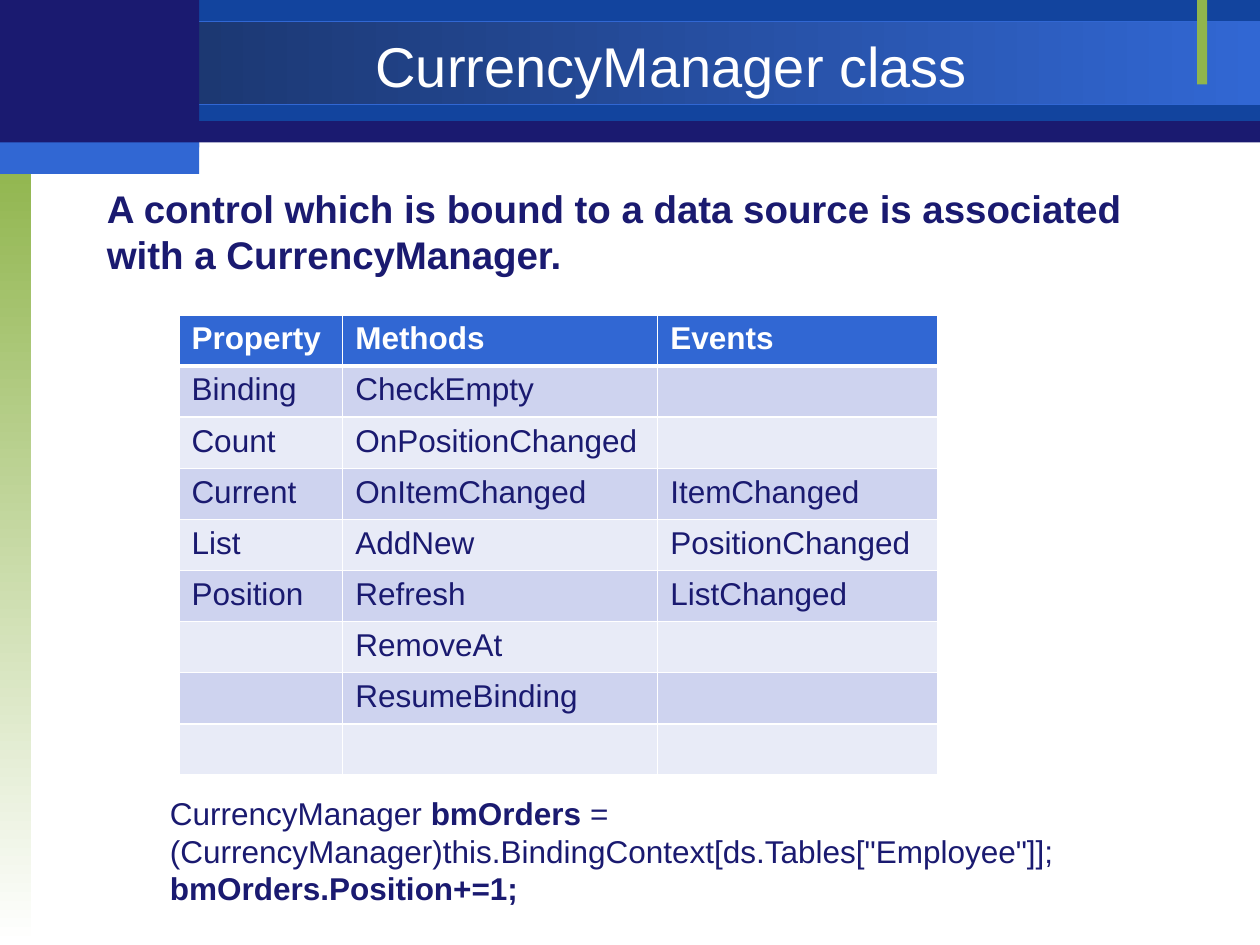
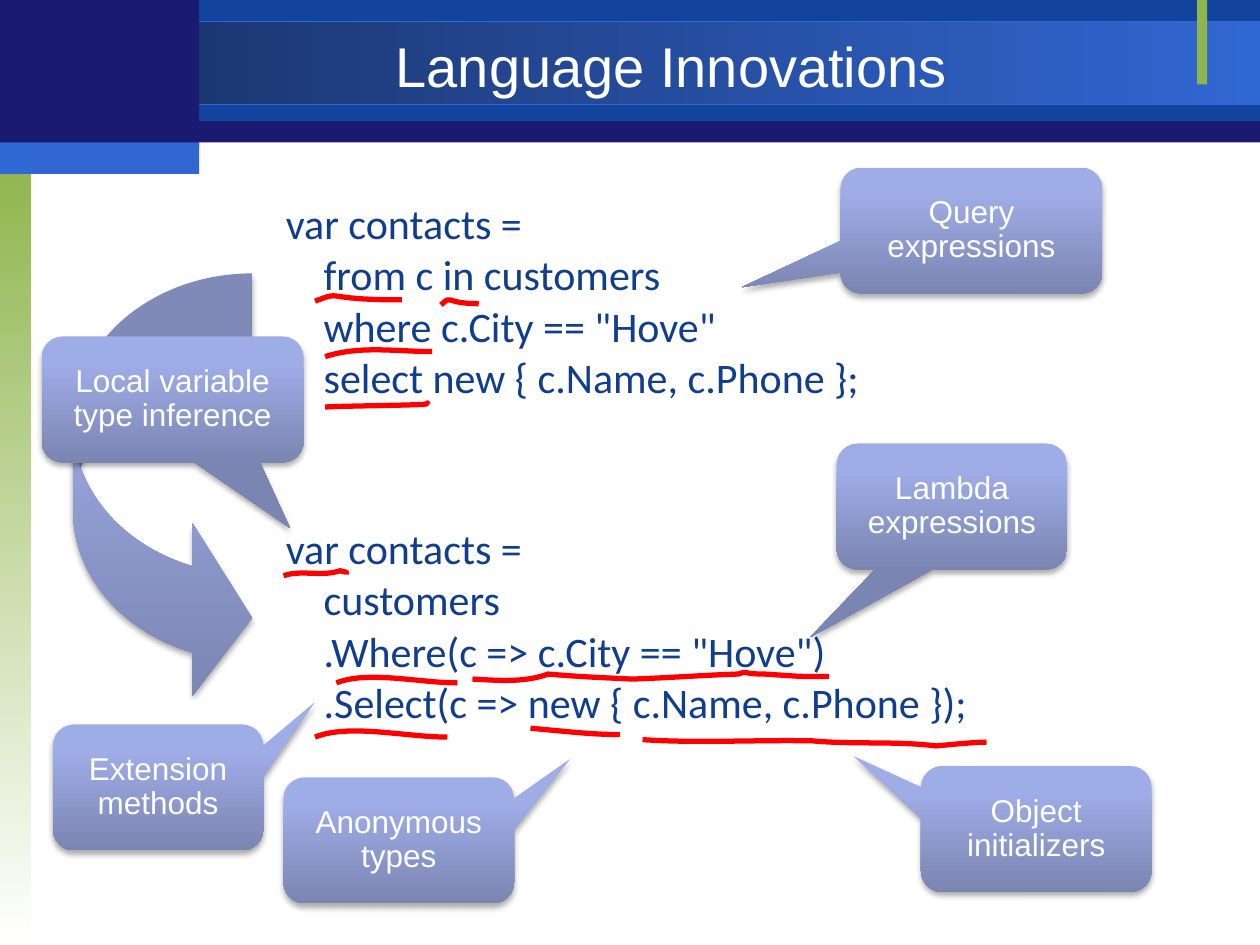
"""Build two slides on CurrencyManager and on language innovations."""
from lxml.etree import SubElement
from pptx import Presentation
from pptx.dml.color import RGBColor
from pptx.enum.shapes import MSO_SHAPE
from pptx.enum.text import MSO_ANCHOR, MSO_AUTO_SIZE, PP_ALIGN
from pptx.oxml import parse_xml
from pptx.oxml.ns import nsdecls, qn
from pptx.util import Inches, Pt

NAVY, BLUE, DEEP_BLUE, CODE_BLUE = "1A1A70", "3167D3", "12449E", "103D8E"
GREEN, WHITE, RED = "90B54D", "FFFFFF", "FF0000"
DOWNWARD = 270
SHADOW = (
    f'<a:effectLst {nsdecls("a")}><a:outerShdw blurRad="44450" dist="27940" dir="5400000" '
    'algn="ctr" rotWithShape="0"><a:srgbClr val="000000"><a:alpha val="32000"/></a:srgbClr>'
    "</a:outerShdw></a:effectLst>"
)
HEADER_RULE = (
    f'<a:lnB {nsdecls("a")} w="38100"><a:solidFill><a:srgbClr val="{WHITE}"/></a:solidFill></a:lnB>'
)
rgb = RGBColor.from_string


def add_panel(slide, kind, box, colours, angle=0, first_stop=0):
    """Add a borderless shape filled with one colour or a gradient of two."""
    panel = slide.shapes.add_shape(kind, *map(Inches, box))
    panel.shadow.inherit = False
    panel.line.fill.background()
    if len(colours) == 1:
        panel.fill.solid()
        panel.fill.fore_color.rgb = rgb(colours[0])
    else:
        panel.fill.gradient()
        panel.fill.gradient_angle = angle
        for stop, colour, position in zip(panel.fill.gradient_stops, colours, (first_stop, 1)):
            stop.color.rgb = rgb(colour)
            stop.position = position
    return panel


def write(paragraph, text, size, colour, font="Arial", bold=False):
    """Put text in a paragraph and set its font."""
    paragraph.text = text
    paragraph.font.name = font
    paragraph.font.size = Pt(size)
    paragraph.font.bold = bold
    paragraph.font.color.rgb = rgb(colour)
    return paragraph


prs = Presentation()
prs.slide_width, prs.slide_height = Inches(10), Inches(7.5)
layout = prs.slide_layouts[5]
manager, language = [prs.slides.add_slide(layout) for _ in range(2)]

bands = [
    ((0, 0.01, 10, 1.12), [NAVY], 0),
    ((1.58, 0, 8.42, 0.96), [DEEP_BLUE], 0),
    ((0, 0.17, 10, 0.66), ["182F60", BLUE], 0),
    ((0, 1.25, 0.25, 6.25), [GREEN, WHITE], DOWNWARD),
    ((9.5, 0, 0.08, 0.67), [GREEN], 0),
    ((0, 0, 1.58, 1.17), [NAVY], 0),
    ((0, 1.13, 1.58, 0.25), [BLUE], 0),
]
for box, colours, angle in bands:
    band = add_panel(manager, MSO_SHAPE.RECTANGLE, box, colours, angle)
    if angle == 0 and len(colours) == 2:
        band.line.color.rgb = rgb(BLUE)
        band.line.width = Pt(0.75)
    layout.placeholders[0].element.addprevious(band.element)

for slide, heading in ((manager, "CurrencyManager class"), (language, "Language Innovations")):
    title = slide.shapes.title
    title.left, title.top, title.width, title.height = map(Inches, (1.58, 0.23, 7.5, 0.58))
    title.text_frame.auto_size = MSO_AUTO_SIZE.NONE
    title.text_frame.vertical_anchor = MSO_ANCHOR.MIDDLE
    write(title.text_frame.paragraphs[0], heading, 32, WHITE).alignment = PP_ALIGN.CENTER

intro = manager.shapes.add_textbox(*map(Inches, (0.75, 1.42, 8.5, 0.84))).text_frame
intro.word_wrap = True
write(
    intro.paragraphs[0],
    "A control which is bound to a data source is associated with a CurrencyManager.",
    22, NAVY, bold=True,
)

members = [
    ("Property", "Methods", "Events"),
    ("Binding", "CheckEmpty", ""),
    ("Count", "OnPositionChanged", ""),
    ("Current", "OnItemChanged", "ItemChanged"),
    ("List", "AddNew", "PositionChanged"),
    ("Position", "Refresh", "ListChanged"),
    ("", "RemoveAt", ""),
    ("", "ResumeBinding", ""),
    ("", "", ""),
]
grid = manager.shapes.add_table(len(members), 3, *map(Inches, (1.42, 2.5, 6.02, 3.65))).table
for column, width in zip(grid.columns, (1.3, 2.5, 2.22)):
    column.width = Inches(width)
for row, names in enumerate(members):
    is_header = row == 0
    for column, name in enumerate(names):
        cell = grid.cell(row, column)
        cell.fill.solid()
        cell.fill.fore_color.rgb = rgb(BLUE if is_header else ("E8EBF7", "CED3EF")[row % 2])
        if is_header:
            cell._tc.get_or_add_tcPr().insert(0, parse_xml(HEADER_RULE))
        write(cell.text_frame.paragraphs[0], name, 18, WHITE if is_header else NAVY, bold=is_header)

usage = manager.shapes.add_textbox(*map(Inches, (1.25, 6.25, 7.92, 1.01))).text_frame
usage.word_wrap = True
declaration = write(usage.paragraphs[0], "", 18, NAVY)
for part, bold in (
    ("CurrencyManager ", False),
    ("bmOrders", True),
    (' = (CurrencyManager)this.BindingContext[ds.Tables["Employee"]];', False),
):
    run = declaration.add_run()
    run.text = part
    run.font.bold = bold
write(usage.add_paragraph(), "bmOrders.Position+=1;", 18, NAVY, bold=True)

queries = [
    (1.58, 4.98, ["from c in customers", 'where c.City == "Hove"',
                  "select new { c.Name, c.Phone };"]),
    (4.16, 5.65, ["customers", '.Where(c => c.City == "Hove")',
                  ".Select(c => new { c.Name, c.Phone });"]),
]
for top, width, clauses in queries:
    query = language.shapes.add_textbox(*map(Inches, (2.17, top, width, 1.72))).text_frame
    query.word_wrap = True
    write(query.paragraphs[0], "var contacts =", 24, CODE_BLUE, "Calibri")
    for clause in clauses:
        line = write(query.add_paragraph(), clause, 24, CODE_BLUE, "Calibri")
        line._p.get_or_add_pPr().set("marL", str(Inches(0.3)))
    for line in query.paragraphs:
        line.line_spacing = 0.85
        line.space_before = Pt(4.8)

underlines = [
    [(2.25, 4.57), (2.39, 4.52), (2.55, 4.58), (2.7, 4.53), (2.76, 4.55), (2.75, 4.53), (2.75, 4.56)],
    [(2.67, 5.42), (2.92, 5.32), (3.33, 5.42), (3.63, 5.42)],
    [(2.5, 5.85), (2.77, 5.74), (3.22, 5.85), (3.55, 5.85)],
    [(3.75, 5.39), (3.95, 5.4), (4.16, 5.42), (4.35, 5.35), (4.58, 5.37), (4.8, 5.38), (5.02, 5.39),
     (5.31, 5.38), (5.56, 5.36), (5.86, 5.35), (5.95, 5.32), (5.87, 5.35), (6.07, 5.35),
     (6.37, 5.37), (6.33, 5.37), (6.58, 5.37)],
    [(5.1, 5.87), (5.54, 5.9), (6.02, 5.87), (6.45, 5.88), (6.78, 5.91), (7.1, 5.88), (7.43, 5.92),
     (7.44, 5.92), (7.72, 5.89), (7.83, 5.89)],
    [(4.21, 5.78), (4.45, 5.8), (4.68, 5.83), (4.92, 5.83)],
    [(2.5, 2.39), (2.74, 2.3), (2.52, 2.38), (3.19, 2.38)],
    [(2.58, 2.83), (2.86, 2.74), (3.14, 2.79), (3.43, 2.79)],
    [(2.58, 3.23), (2.84, 3.22), (3.1, 3.22), (3.36, 3.21), (3.41, 3.21), (3.38, 3.18), (3.4, 3.21)],
    [(3.5, 2.42), (3.6, 2.33), (3.51, 2.41), (3.8, 2.41)],
]
for start, *controls in underlines:
    outline = language.shapes.build_freeform(*map(Inches, start))
    outline.add_line_segments([tuple(map(Inches, point)) for point in controls], close=False)
    underline = outline.convert_to_shape()
    underline.shadow.inherit = False
    underline.fill.background()
    underline.line.color.rgb = rgb(RED)
    underline.line.width = Pt(3)
    stroke = next(underline.element.iter(qn("a:path")))
    for index, segment in enumerate(stroke.findall(qn("a:lnTo"))):
        if index % 3 == 0:
            curve = SubElement(stroke, qn("a:cubicBezTo"))
        curve.append(segment[0])
        stroke.remove(segment)

CALLOUT = MSO_SHAPE.ROUNDED_RECTANGULAR_CALLOUT
pointers = [
    (MSO_SHAPE.CURVED_RIGHT_ARROW, "", (0.58, 2.17, 1.42, 3.42), (0.482, 0.965, 0.333)),
    (CALLOUT, "Extension methods", (0.42, 5.75, 1.67, 1), (0.746, -0.679, 0.167)),
    (CALLOUT, "Lambda expressions", (6.64, 3.52, 1.83, 1), (-0.616, 1.04, 0.167)),
    (CALLOUT, "Query expressions", (6.67, 1.33, 2.08, 1), (-0.877, 0.45, 0.167)),
    (CALLOUT, "Object initializers", (7.31, 6.08, 1.83, 1), (-0.794, -0.58, 0.167)),
    (CALLOUT, "Anonymous types", (2.25, 6.17, 1.83, 1), (0.744, -0.648, 0.167)),
    (CALLOUT, "Local variable type inference", (0.33, 2.67, 2.08, 1), (0.448, 1.021, 0.167)),
]
for kind, feature, box, adjustments in pointers:
    pointer = add_panel(language, kind, box, ["9FADE7", "7B85B2"], DOWNWARD, first_stop=0.2)
    for index, value in enumerate(adjustments):
        pointer.adjustments[index] = value
    no_shadow = pointer.element.spPr.find(qn("a:effectLst"))
    no_shadow.getparent().replace(no_shadow, parse_xml(SHADOW))
    if feature:
        pointer.text_frame.vertical_anchor = MSO_ANCHOR.MIDDLE
        label = write(pointer.text_frame.paragraphs[0], feature, 18, WHITE)
        label.alignment = PP_ALIGN.CENTER
        label.line_spacing = 0.9

prs.save("out.pptx")
